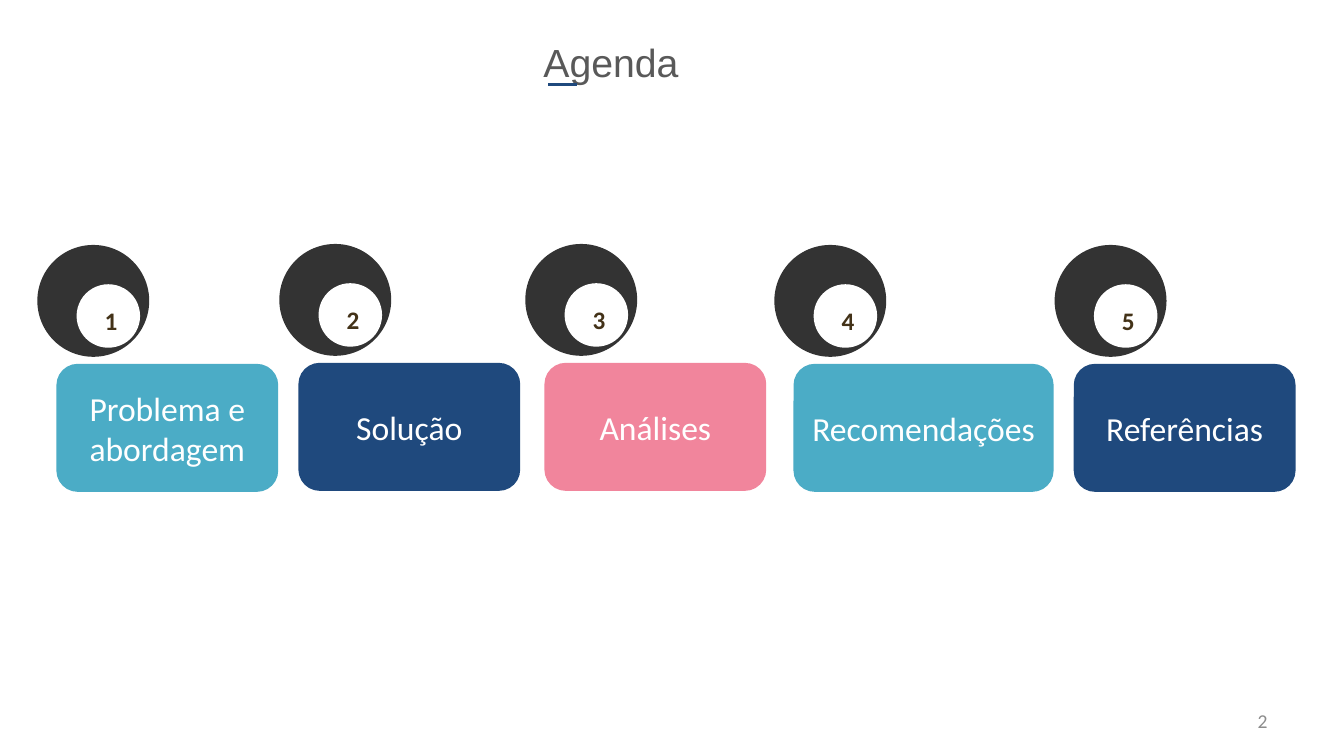
import pptx
import pptx.dml.color
import pptx.enum.shapes
import pptx.enum.text
import pptx.oxml
import pptx.util

Inches = pptx.util.Inches
ALIGN = pptx.enum.text.PP_ALIGN
ANCHOR = pptx.enum.text.MSO_ANCHOR
SHAPE = pptx.enum.shapes.MSO_SHAPE
NAVY, TEAL, PINK = "1F497D", "4BACC6", "F1859C"

# Card left, card top, card width, fill, label
STEPS = [
    (0.56, 3.61, 2.2, TEAL, "Problema e abordagem"),
    (2.96, 3.6, 2.2, NAVY, "Solução"),
    (5.4, 3.6, 2.2, PINK, "Análises"),
    (7.87, 3.61, 2.58, TEAL, "Recomendações"),
    (10.65, 3.61, 2.2, NAVY, "Referências"),
]


def color(value):
    return pptx.dml.color.RGBColor.from_string(value)


def write(sp, text, size, font, fill, align=ALIGN.LEFT, bold=False):
    p = sp.text_frame.paragraphs[0]
    p.text = text
    p.alignment = align
    p.font.size = pptx.util.Pt(size)
    p.font.name = font
    p.font.bold = bold
    p.font.color.rgb = color(fill)
    return p


def add_filled(shapes, kind, left, top, width, height, fill):
    sp = shapes.add_shape(kind, Inches(left), Inches(top), Inches(width), Inches(height))
    sp.shadow.inherit = False
    sp.fill.solid()
    sp.fill.fore_color.rgb = color(fill)
    sp.line.fill.background()
    return sp


def add_title(s, left, top, width, height):
    sp = s.shapes.title
    sp.left, sp.top = Inches(left), Inches(top)
    sp.width, sp.height = Inches(width), Inches(height)
    tf = sp.text_frame
    tf.auto_size = pptx.enum.text.MSO_AUTO_SIZE.NONE
    tf.vertical_anchor = ANCHOR.TOP
    write(sp, "Agenda", 28, "Arial", "595959").line_spacing = 1.5

    # Short accent line under the first letter
    x, y = left + 0.15, top + 0.74
    line = s.shapes.add_connector(pptx.enum.shapes.MSO_CONNECTOR.STRAIGHT,
                                  Inches(x), Inches(y), Inches(x + 0.28), Inches(y))
    line.line.color.rgb = color(NAVY)
    line.line.width = pptx.util.Pt(2.25)
    line._element.spPr.append(pptx.oxml.parse_xml(
        '<a:effectLst xmlns:a="http://schemas.openxmlformats.org/drawingml/2006/main"/>'))


def add_step(s, number, left, top, width, fill, label):
    shapes = s.shapes.add_group_shape().shapes

    # Card
    card = add_filled(shapes, SHAPE.ROUNDED_RECTANGLE, left, top, width, 1.27, fill)
    card.text_frame.word_wrap = True
    card.text_frame.vertical_anchor = ANCHOR.MIDDLE
    write(card, label, 24, "Calibri", "FFFFFF", ALIGN.CENTER)

    # Dark disc with an off-centre white disc
    add_filled(shapes, SHAPE.OVAL, left - 0.19, top - 1.18, 1.11, 1.11, "333333")
    add_filled(shapes, SHAPE.OVAL, left + 0.2, top - 0.79, 0.63, 0.63, "FFFFFF")

    # Number on the white disc
    box = shapes.add_textbox(Inches(left + 0.38), Inches(top - 0.63),
                             Inches(0.33), Inches(0.4))
    box.text_frame.word_wrap = False
    write(box, str(number), 18, "Calibri", "433218", bold=True)


def add_page_number(s, left, top, width, height):
    box = s.shapes.add_textbox(Inches(left), Inches(top), Inches(width), Inches(height))
    box.text_frame.word_wrap = True
    box.text_frame.vertical_anchor = ANCHOR.MIDDLE
    write(box, "2", 14, "Calibri", "8C8C8C", ALIGN.RIGHT)


def main():
    prs = pptx.Presentation()
    prs.slide_width, prs.slide_height = Inches(13.33), Inches(7.5)
    s = prs.slides.add_slide(prs.slide_layouts[5])
    add_title(s, 5.29, 0.1, 3.38, 0.47)
    for number, step in enumerate(STEPS, 1):
        add_step(s, number, *step)
    add_page_number(s, 9.56, 6.95, 3.11, 0.4)
    prs.save("out.pptx")


if __name__ == "__main__":
    main()
